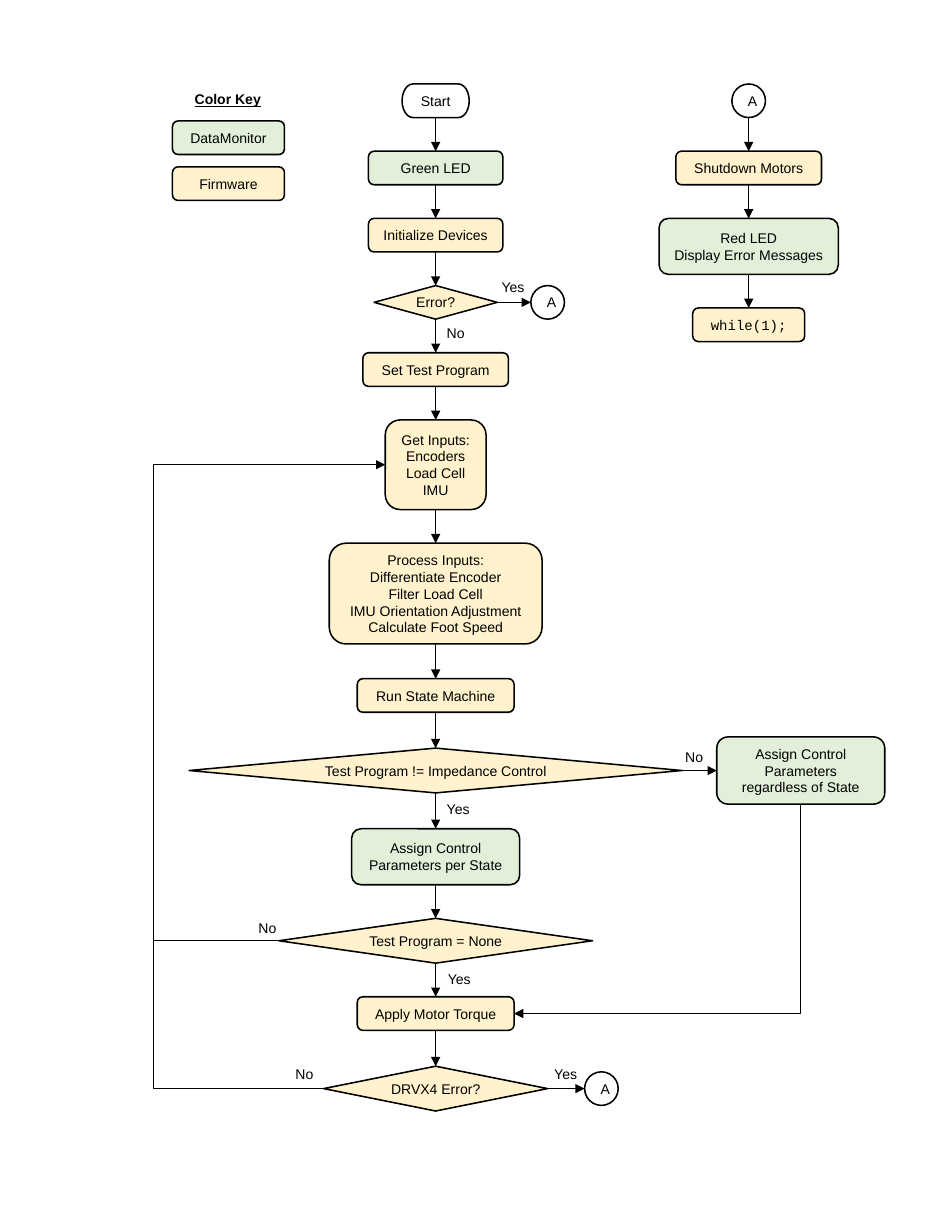
from lxml import etree
from pptx import Presentation
from pptx.dml.color import RGBColor
from pptx.enum.shapes import MSO_CONNECTOR, MSO_SHAPE
from pptx.enum.text import MSO_ANCHOR, MSO_AUTO_SIZE, PP_ALIGN
from pptx.oxml.ns import qn
from pptx.util import Inches, Pt

TERMINATOR = MSO_SHAPE.FLOWCHART_TERMINATOR
PROCESS = MSO_SHAPE.FLOWCHART_ALTERNATE_PROCESS
DECISION = MSO_SHAPE.FLOWCHART_DECISION
CIRCLE = MSO_SHAPE.FLOWCHART_CONNECTOR
STRAIGHT, ELBOW = MSO_CONNECTOR.STRAIGHT, MSO_CONNECTOR.ELBOW
TOP, LEFT, BOTTOM, RIGHT = range(4)

BLACK, FIRMWARE, MONITOR = "000000", "FFF2CC", "E2F0D9"
MAIN, ERROR, KEY, LOOP = 38.9, 66.85, 20.4, 13.7  # column positions in grid units

# kind, fill, top row, width, height, text ("\n" paragraph, "\v" line break)
MAIN_STEPS = [
    (TERMINATOR, None, 7.5, 6, 3, "Start"),
    (PROCESS, MONITOR, 13.5, 12, 3, "Green LED"),
    (PROCESS, FIRMWARE, 19.5, 12, 3, "Initialize Devices"),
    (DECISION, FIRMWARE, 25.5, 11, 3, "Error?"),
    (PROCESS, FIRMWARE, 31.5, 13, 3, "Set Test Program"),
    (PROCESS, FIRMWARE, 37.5, 9, 8, "Get Inputs:\nEncoders\nLoad Cell\vIMU"),
    (PROCESS, FIRMWARE, 48.5, 19, 9,
     "Process Inputs:\nDifferentiate Encoder\nFilter Load Cell\v"
     "IMU Orientation Adjustment\nCalculate Foot Speed"),
    (PROCESS, FIRMWARE, 60.6, 14, 3, "Run State Machine"),
    (DECISION, FIRMWARE, 66.8, 44, 4, "Test Program != Impedance Control"),
    (PROCESS, MONITOR, 74, 15, 5, "Assign Control Parameters per State"),
    (DECISION, FIRMWARE, 82, 28, 4, "Test Program = None"),
    (PROCESS, FIRMWARE, 89, 14, 3, "Apply Motor Torque"),
    (DECISION, FIRMWARE, 95.2, 20, 4, "DRVX4 Error?"),
]
ERROR_STEPS = [
    (CIRCLE, None, 7.5, 3, 3, "A"),
    (PROCESS, FIRMWARE, 13.5, 13, 3, "Shutdown Motors"),
    (PROCESS, MONITOR, 19.5, 16, 5, "Red LED\nDisplay Error Messages"),
    (PROCESS, FIRMWARE, 27.5, 10, 3, "while(1);"),
]
KEY_ENTRIES = [
    (PROCESS, MONITOR, 10.8, 10, 3, "DataMonitor"),
    (PROCESS, FIRMWARE, 14.9, 10, 3, "Firmware"),
]
# left, top, width, text
BRANCH_LABELS = [
    (43.8, 24.4, 4.2, "Yes"), (38.9, 28.5, 3.6, "No"),
    (38.9, 71, 4.2, "Yes"), (60.2, 66.3, 3.6, "No"),
    (39, 86.2, 4.2, "Yes"), (22.1, 81.6, 3.6, "No"),
    (48.5, 94.6, 4.2, "Yes"), (25.4, 94.6, 3.6, "No"),
]


def grid(units):
    """Length of a number of grid units, ten to the inch."""
    return Inches(units / 10)


def paint(color, hex_value):
    color.rgb = RGBColor.from_string(hex_value)


def add_run(paragraph, text, font="Arial", heading=False):
    run = paragraph.add_run()
    run.text = text
    run.font.name, run.font.size = font, Pt(9)
    paint(run.font.color, BLACK)
    if heading:
        run.font.bold = run.font.underline = True


def add_step(slide, center, kind, fill, top, width, height, text, font="Arial"):
    step = slide.shapes.add_shape(
        kind, grid(center - width / 2), grid(top), grid(width), grid(height))
    step.shadow.inherit = False
    if fill:
        step.fill.solid()
        paint(step.fill.fore_color, fill)
    else:
        step.fill.background()
    paint(step.line.color, BLACK)
    step.line.width = Pt(1)
    frame = step.text_frame
    frame.word_wrap = True
    frame.vertical_anchor = MSO_ANCHOR.MIDDLE
    for i, content in enumerate(text.split("\n")):
        paragraph = frame.add_paragraph() if i else frame.paragraphs[0]
        paragraph.alignment = PP_ALIGN.CENTER
        for j, line in enumerate(content.split("\v")):
            if j:
                paragraph.add_line_break()
            add_run(paragraph, line, font)
    return step


def add_label(slide, left, top, width, text, heading=False):
    label = slide.shapes.add_textbox(grid(left), grid(top), grid(width), grid(2.5))
    label.text_frame.word_wrap = False
    label.text_frame.auto_size = MSO_AUTO_SIZE.SHAPE_TO_FIT_TEXT
    add_run(label.text_frame.paragraphs[0], text, heading=heading)


def side_point(step, side):
    """Middle of one side of a step."""
    x = step.left + {LEFT: 0, RIGHT: step.width}.get(side, step.width // 2)
    y = step.top + {TOP: 0, BOTTOM: step.height}.get(side, step.height // 2)
    return x, y


def add_line(slide, begin, end, kind=STRAIGHT, arrow=True):
    line = slide.shapes.add_connector(kind, *begin, *end)
    paint(line.line.color, BLACK)
    line.line.width = Pt(0.5)
    if arrow:
        etree.SubElement(line.line._get_or_add_ln(), qn("a:tailEnd"), type="triangle")
    etree.SubElement(line._element.spPr, qn("a:effectLst"))
    return line


def link(slide, source, source_side, target, target_side):
    """Straight arrow between two steps; circles number their sites differently."""
    arrow = add_line(slide, side_point(source, source_side), side_point(target, target_side))
    if source.auto_shape_type != CIRCLE:
        arrow.begin_connect(source, source_side)
    if target.auto_shape_type != CIRCLE:
        arrow.end_connect(target, target_side)


def add_corner(slide, begin, end):
    """Arrow that runs down from begin, then left to end."""
    across, down = begin[0] - end[0], end[1] - begin[1]
    left = (begin[0] + end[0] - down) // 2
    top = (begin[1] + end[1] - across) // 2
    corner = add_line(slide, (left, top), (left + down, top + across), ELBOW)
    properties = corner._element.spPr
    properties.find(qn("a:xfrm")).set("rot", "5400000")
    properties.find(qn("a:prstGeom")).set("prst", "bentConnector2")


def add_loop(slide, begin, end, turn_x):
    """Arrow that goes out to turn_x, then up and back to end."""
    loop = add_line(slide, begin, end, ELBOW)
    adjustments = loop._element.spPr.find(qn("a:prstGeom")).get_or_add_avLst()
    share = round((turn_x - begin[0]) / (end[0] - begin[0]) * 100000)
    etree.SubElement(adjustments, qn("a:gd"), name="adj1", fmla=f"val {share}")


def add_flow(slide, center, steps):
    """Column of steps, each linked to the next."""
    flow = [add_step(slide, center, *step,
                     font="Courier New" if step[-1].endswith(";") else "Arial")
            for step in steps]
    for upper, lower in zip(flow, flow[1:]):
        link(slide, upper, BOTTOM, lower, TOP)
    return flow


def main():
    deck = Presentation()
    deck.slide_width, deck.slide_height = Inches(8.5), Inches(11)
    slide = deck.slides.add_slide(deck.slide_layouts[6])

    add_label(slide, 16.4, 7.6, 8, "Color Key", heading=True)
    for entry in KEY_ENTRIES:
        add_step(slide, KEY, *entry)

    add_flow(slide, ERROR, ERROR_STEPS)
    flow = add_flow(slide, MAIN, MAIN_STEPS)
    device_error, get_inputs = flow[3], flow[5]
    impedance_check, none_check, apply_torque, drive_error = flow[8], *flow[10:]

    for check, center, top in ((device_error, 48.9, 25.5), (drive_error, 53.7, 95.7)):
        jump = add_step(slide, center, CIRCLE, None, top, 3, 3, "A")
        link(slide, check, RIGHT, jump, LEFT)

    regardless = add_step(slide, 71.5, PROCESS, MONITOR, 65.8, 15, 6,
                          "Assign Control Parameters regardless of State")
    link(slide, impedance_check, RIGHT, regardless, LEFT)
    add_corner(slide, side_point(regardless, BOTTOM), side_point(apply_torque, RIGHT))

    add_loop(slide, side_point(drive_error, LEFT), side_point(get_inputs, LEFT), grid(LOOP))
    none_exit = side_point(none_check, LEFT)
    branch = add_line(slide, (grid(LOOP), none_exit[1]), none_exit, arrow=False)
    branch.end_connect(none_check, LEFT)

    for label in BRANCH_LABELS:
        add_label(slide, *label)
    deck.save("out.pptx")


if __name__ == "__main__":
    main()
